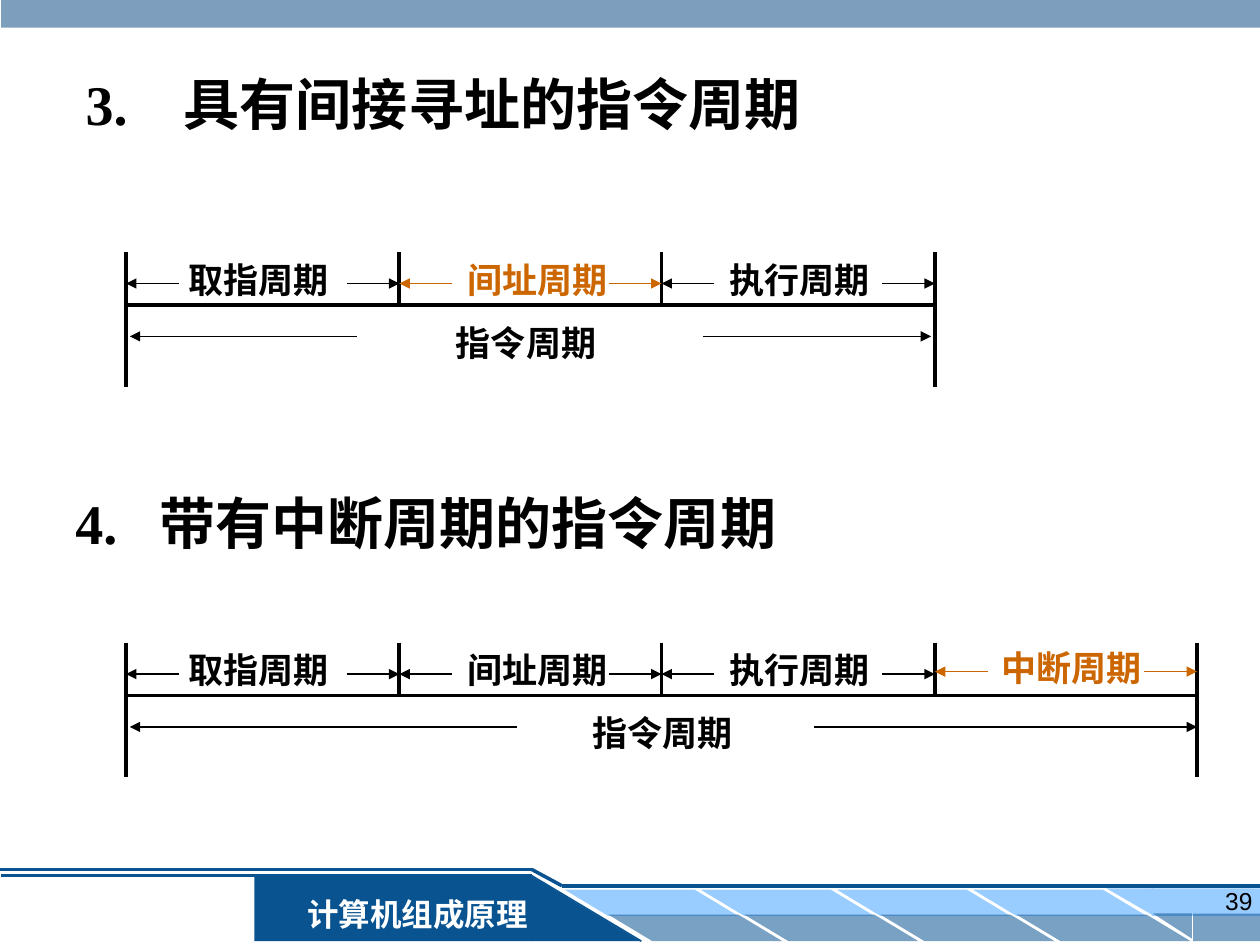
from lxml import etree
from pptx import Presentation
from pptx.dml.color import RGBColor
from pptx.enum.shapes import MSO_CONNECTOR, MSO_SHAPE
from pptx.enum.text import MSO_ANCHOR, MSO_AUTO_SIZE, PP_ALIGN
from pptx.oxml.ns import qn
from pptx.util import Inches, Pt

RECT = MSO_SHAPE.RECTANGLE
SLANT = MSO_SHAPE.PARALLELOGRAM
WEDGE = MSO_SHAPE.RIGHT_TRIANGLE
STRAIGHT = MSO_CONNECTOR.STRAIGHT
LEFT, CENTER, RIGHT = PP_ALIGN.LEFT, PP_ALIGN.CENTER, PP_ALIGN.RIGHT
TOP, MIDDLE = MSO_ANCHOR.TOP, MSO_ANCHOR.MIDDLE

COLORS = {
    "ink": "000000",
    "accent": "CC6600",
    "navy": "095391",
    "sky": "99CCFF",
    "header": "336699",
    "white": "FFFFFF",
}
SERIF, SANS = "Times New Roman", "Arial"
BOUNDARIES = [1, 3.17, 5.25, 7.42, 9.5]
ARROW_LENGTH = 0.42


def rgb(color):
    return RGBColor.from_string(COLORS[color])


def place(shape, left, top, width, height):
    shape.left, shape.top = Inches(left), Inches(top)
    shape.width, shape.height = Inches(width), Inches(height)


def write(shape, text, size=20, color="ink", font=SERIF, bold=True,
          align=LEFT, anchor=TOP, wrap=True, hang=None):
    """Fill a shape with one paragraph; hang is the indent after its number."""
    frame = shape.text_frame
    frame.auto_size = MSO_AUTO_SIZE.NONE
    frame.word_wrap = wrap
    frame.vertical_anchor = anchor
    paragraph = frame.paragraphs[0]
    paragraph.text = text
    paragraph.alignment = align
    if hang:
        properties = paragraph._p.get_or_add_pPr()
        properties.set("marL", str(Inches(hang)))
        properties.set("indent", str(-Inches(hang)))
        stops = etree.SubElement(properties, qn("a:tabLst"))
        etree.SubElement(stops, qn("a:tab"), pos=str(Inches(hang)), algn="l")
    style = paragraph.runs[0].font
    style.name, style.size, style.bold = font, Pt(size), bold
    style.color.rgb = rgb(color)


def add_text(slide, text, box, **style):
    write(slide.shapes.add_textbox(*map(Inches, box)), text, **style)


def add_block(slide, kind, box, color, alpha=None, flip=""):
    """Add a borderless shape; alpha is a percentage, flip holds h and/or v."""
    block = slide.shapes.add_shape(kind, *map(Inches, box))
    block.shadow.inherit = False
    block.fill.solid()
    block.fill.fore_color.rgb = rgb(color)
    block.line.fill.background()
    if alpha:
        tint = block._element.spPr.find(".//" + qn("a:srgbClr"))
        etree.SubElement(tint, qn("a:alpha"), val=str(alpha * 1000))
    for axis in flip:
        block._element.spPr.xfrm.set("flip" + axis.upper(), "1")
    return block


def add_line(slide, x1, y1, x2, y2, color="ink", width=2.25, arrow=False):
    line = slide.shapes.add_connector(STRAIGHT, *map(Inches, (x1, y1, x2, y2)))
    line.line.color.rgb = rgb(color)
    line.line.width = Pt(width)
    if arrow:
        etree.SubElement(line.line._get_or_add_ln(), qn("a:tailEnd"), type="triangle")
    etree.SubElement(line._element.spPr, qn("a:effectLst"))


def add_arrow(slide, start, end, y, color="ink"):
    add_line(slide, start, y, end, y, color, 0.75, arrow=True)


def add_footer(slide):
    add_block(slide, RECT, (2.02, 6.95, 2.2, 0.52), "navy")
    add_line(slide, 4.22, 6.95, 0.01, 6.95, "navy", 1.5)
    add_line(slide, -0.01, 6.9, 4.22, 6.9, "navy", 2)
    for step in range(4):
        left = 4.48 + 1.08 * step
        for x, y, color, alpha in ((left, 7.06, "sky", None),
                                   (left + 0.35, 7.26, "navy", 54)):
            tile = add_block(slide, SLANT, (x, y, 1.38, 0.21), color, alpha, "h")
            tile.adjustments[0] = 1.66
    add_block(slide, RECT, (9.14, 7.05, 0.86, 0.22), "sky")
    add_block(slide, WEDGE, (8.78, 7.05, 0.38, 0.22), "sky", flip="hv")
    add_block(slide, RECT, (9.47, 7.25, 0.54, 0.22), "navy", 54)
    add_block(slide, WEDGE, (9.15, 7.25, 0.31, 0.2), "navy", 54, "hv")
    add_line(slide, 4.46, 7.03, 10.01, 7.03, "navy", 2)
    course = add_block(slide, RECT, (2.29, 7.05, 2.05, 0.4), "navy")
    write(course, "计算机组成原理", size=18, color="white", align=CENTER, anchor=MIDDLE)
    add_block(slide, WEDGE, (4.21, 6.95, 0.87, 0.52), "navy")
    add_line(slide, 5.09, 7.47, 4.22, 6.95, "navy", 1)
    add_line(slide, 4.22, 6.9, 4.46, 7.03, "navy", 2)


def add_timeline(slide, top, phases, total_left, total_arrows):
    """Draw phases (name, label left, colour, lift) above the whole cycle."""
    start, end = BOUNDARIES[0], BOUNDARIES[len(phases)]
    axis = top + 0.42
    add_line(slide, start, axis, end, axis)
    for x in BOUNDARIES[:len(phases) + 1]:
        add_line(slide, x, top, x, top + 1.07 if x in (start, end) else axis)
    for (name, label_left, color, lift), left, right in zip(
            phases, BOUNDARIES, BOUNDARIES[1:]):
        y = top + 0.25 - lift
        add_arrow(slide, left + ARROW_LENGTH, left, y, color)
        add_arrow(slide, right - ARROW_LENGTH, right, y, color)
        add_text(slide, name, (label_left, top - lift, 1.31, 0.44),
                 color=color, wrap=False)
    add_text(slide, "指令周期", (total_left, top + 0.5, 1.31, 0.44), wrap=False)
    for tail, tip in total_arrows:
        add_arrow(slide, tail, tip, top + 0.67)


def main():
    prs = Presentation()
    prs.slide_width, prs.slide_height = Inches(10), Inches(7.5)
    slide = prs.slides.add_slide(prs.slide_layouts[5])

    add_footer(slide)
    add_block(slide, RECT, (0.01, -0.03, 10, 0.25), "header", 63)
    add_text(slide, "39", (7.71, 6.98, 2.33, 0.52),
             size=14, font=SANS, bold=False, align=RIGHT)

    title = slide.shapes.title
    place(title, 0.58, 0.5, 6.25, 0.64)
    write(title, "3.\t具有间接寻址的指令周期", size=32, hang=0.78)
    add_text(slide, "4.\t带有中断周期的指令周期", (0.5, 3.83, 6.25, 0.64),
             size=32, hang=0.67)

    fetch = ("取指周期", 1.4, "ink", 0)
    execute = ("执行周期", 5.69, "ink", 0)
    add_timeline(slide, 2, [fetch, ("间址周期", 3.61, "accent", 0), execute],
                 3.52, [(2.83, 1.03), (5.58, 7.39)])
    add_timeline(slide, 5.1, [fetch, ("间址周期", 3.61, "ink", 0), execute,
                              ("中断周期", 7.85, "accent", 0.02)],
                 4.6, [(4.1, 1.03), (6.46, 9.5)])

    prs.save("out.pptx")


if __name__ == "__main__":
    main()
